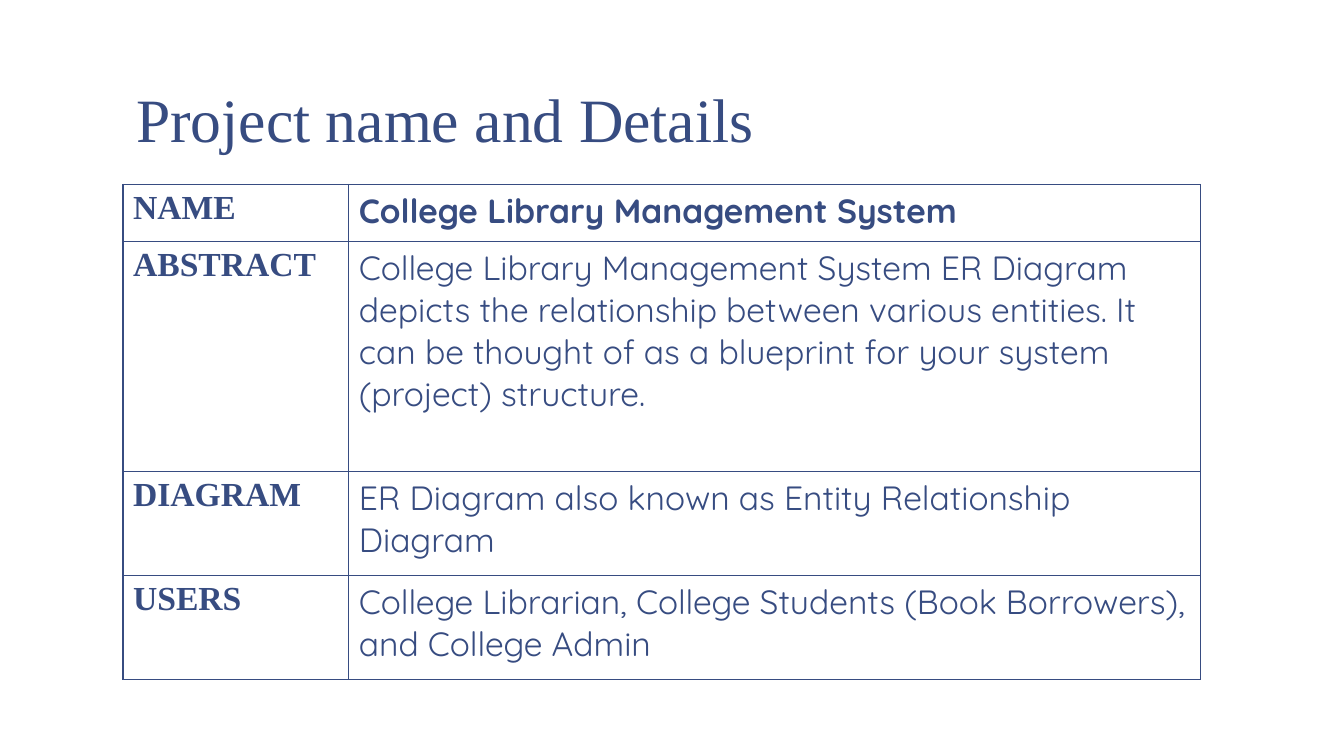
from lxml import etree
from pptx import Presentation
from pptx import util as u
from pptx.dml import color
from pptx.enum import text
from pptx.oxml import ns

NAVY = "374C81"
SERIF = "Times New Roman"
SANS = "Quicksand"
COLUMN_WIDTHS = (2.24, 8.45)
DETAILS = (
    (0.57, "NAME", "College Library Management System", True),
    (2.28, "ABSTRACT", "College Library Management System ER Diagram depicts the "
     "relationship between various entities. It can be thought of as a blueprint "
     "for your system (project) structure. ", False),
    (1.03, "DIAGRAM", "ER Diagram also known as Entity Relationship Diagram", False),
    (1.03, "USERS", "College Librarian, College Students (Book Borrowers), "
     "and College Admin", False),
)


def rgb(value):
    """Turn a hex string into a colour."""
    return color.RGBColor.from_string(value)


def write_text(frame, words, font=SANS, size=24, bold=False, spacing=None):
    """Write one formatted paragraph into a text frame."""
    paragraph = frame.paragraphs[0]
    paragraph.alignment = text.PP_ALIGN.LEFT
    paragraph.line_spacing = spacing
    run = paragraph.add_run()
    run.text = words
    run.font.name = font
    run.font.size = u.Pt(size)
    run.font.bold = bold
    run.font.color.rgb = rgb(NAVY)


def outline_cell(cell):
    """Leave a cell unfilled and draw a thin line on its four sides."""
    cell.fill.background()
    properties = cell._tc.get_or_add_tcPr()
    for index, side in enumerate(("lnL", "lnR", "lnT", "lnB")):
        line = etree.Element(ns.qn(f"a:{side}"), w=str(u.Pt(1)))
        fill = etree.SubElement(line, ns.qn("a:solidFill"))
        etree.SubElement(fill, ns.qn("a:srgbClr"), val=NAVY)
        properties.insert(index, line)


def add_title(slide, left, top, width, height):
    """Place the slide title at the bottom of its box."""
    frame = slide.shapes.add_textbox(
        u.Inches(left), u.Inches(top), u.Inches(width), u.Inches(height)).text_frame
    frame.word_wrap = True
    frame.vertical_anchor = text.MSO_ANCHOR.BOTTOM
    frame.margin_left = frame.margin_right = u.Inches(0.13)
    frame.margin_top = frame.margin_bottom = u.Inches(0.07)
    write_text(frame, "Project name and Details", font=SERIF, size=44, spacing=0.85)


def add_details(slide, left, top, width, height):
    """Place the table of project details in its box."""
    table = slide.shapes.add_table(
        len(DETAILS), len(COLUMN_WIDTHS), u.Inches(left), u.Inches(top),
        u.Inches(width), u.Inches(height)).table
    table.first_row = False
    table.horz_banding = False
    for column, column_width in zip(table.columns, COLUMN_WIDTHS):
        column.width = u.Inches(column_width)
    for row, (row_height, label, detail, bold) in zip(table.rows, DETAILS):
        row.height = u.Inches(row_height)
        label_cell, detail_cell = row.cells
        write_text(label_cell.text_frame, label, font=SERIF, bold=True)
        write_text(detail_cell.text_frame, detail, bold=bold)
        outline_cell(label_cell)
        outline_cell(detail_cell)


def main():
    """Build the project details slide and save it."""
    presentation = Presentation()
    presentation.slide_width = u.Inches(13.33)
    presentation.slide_height = u.Inches(7.5)
    slide = presentation.slides.add_slide(presentation.slide_layouts[6])
    add_title(slide, 1.22, 0.08, 11.11, 1.53)
    add_details(slide, 1.22, 1.83, sum(COLUMN_WIDTHS), sum(row[0] for row in DETAILS))
    presentation.save("out.pptx")


if __name__ == "__main__":
    main()
